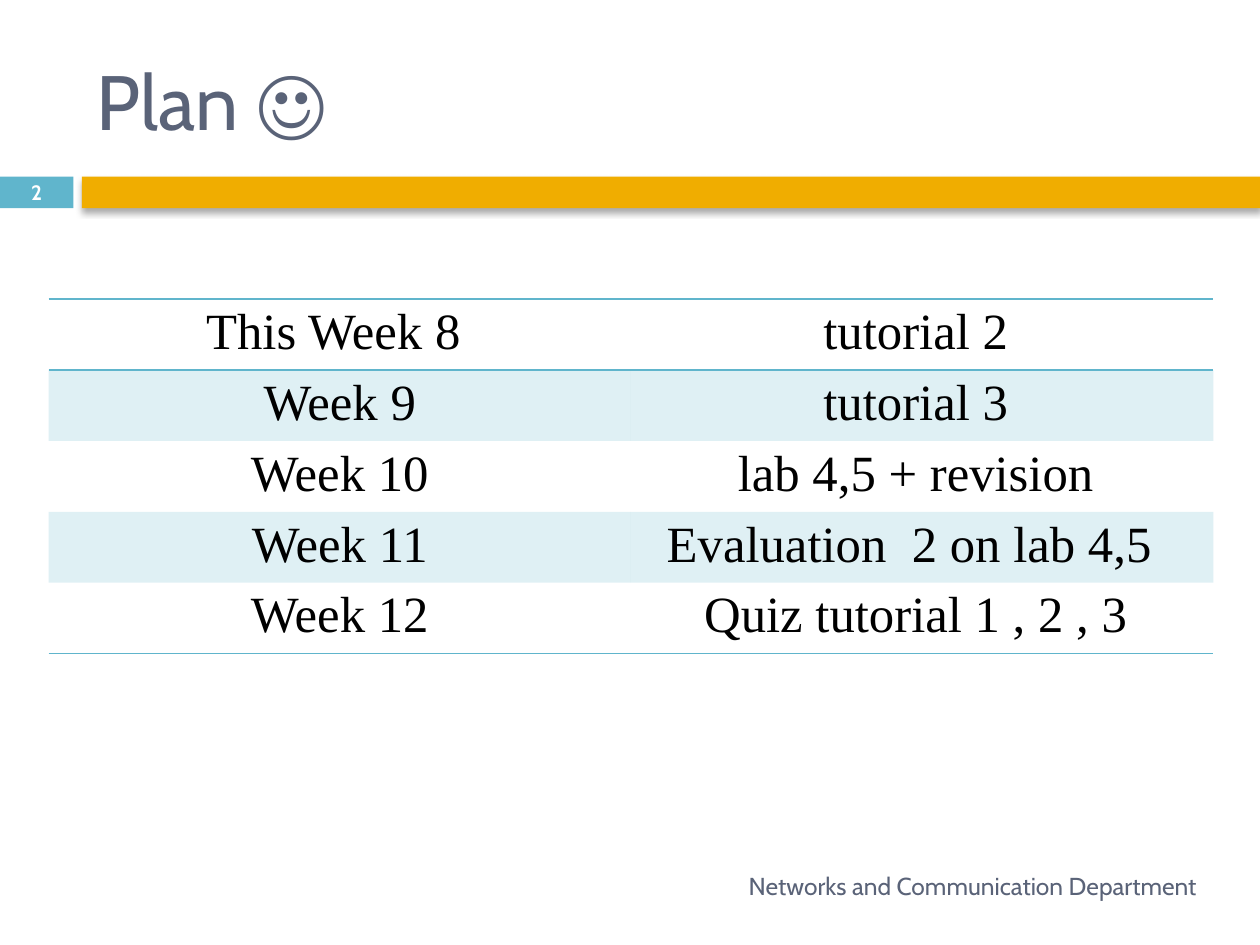
"""Build the weekly plan slide with its schedule table."""
from lxml.etree import SubElement
from pptx import Presentation
from pptx.dml.color import RGBColor
from pptx.enum.shapes import MSO_SHAPE
from pptx.enum.text import MSO_ANCHOR, PP_ALIGN
from pptx.oxml import parse_xml
from pptx.oxml.ns import nsdecls, qn
from pptx.util import Cm, Pt

TITLE = "Plan ☺"
FOOTER = "Networks and Communication Department"
PAGE_NUMBER = "2"
SCHEDULE = [
    ("This Week 8 ", "tutorial 2 "),
    ("Week 9", "tutorial 3 "),
    ("Week 10", "lab 4,5 + revision "),
    ("Week 11", "Evaluation  2 on lab 4,5  "),
    ("Week 12", "Quiz tutorial 1 , 2 , 3 "),
]

TEAL = RGBColor(0x60, 0xB5, 0xCC)
GOLD = RGBColor(0xF0, 0xAD, 0x00)
SLATE = RGBColor(0x5A, 0x63, 0x78)
WHITE = RGBColor(0xFF, 0xFF, 0xFF)
BLACK = RGBColor(0x00, 0x00, 0x00)
HEADING_FONT = "Cabin"
TABLE_FONT = "Times New Roman"
NO_STYLE = "{2D5ABB26-0587-4C30-8999-92F81FD0307C}"

TABLE_LEFT, TABLE_TOP = 0.98, 6.03
COLUMN_WIDTH, ROW_HEIGHT = 11.74, 1.39
BAND_ALPHA = 20000


def write(frame, text, size, color, font=HEADING_FONT, align=PP_ALIGN.LEFT, bold=False):
    frame.word_wrap = True
    frame.vertical_anchor = MSO_ANCHOR.MIDDLE
    para = frame.paragraphs[0]
    para.alignment = align
    span = para.add_run()
    span.text = text
    span.font.size = Pt(size)
    span.font.name = font
    span.font.bold = bold
    span.font.color.rgb = color


def add_bar(page, left, width, color):
    bar = page.shapes.add_shape(MSO_SHAPE.RECTANGLE, Cm(left), Cm(3.56), Cm(width), Cm(0.64))
    bar.shadow.inherit = False
    bar.fill.solid()
    bar.fill.fore_color.rgb = color
    bar.line.fill.background()
    return bar


def add_shadow(bar):
    effects = bar.element.spPr.find(qn("a:effectLst"))
    effects.append(parse_xml(
        f'<a:outerShdw {nsdecls("a")} blurRad="{Pt(3.5)}" dist="{Pt(2.2)}" dir="5400000" '
        'rotWithShape="0"><a:srgbClr val="000000"><a:alpha val="32000"/></a:srgbClr></a:outerShdw>'
    ))


def add_text_box(page, place, text, **style):
    box = page.shapes.add_textbox(*map(Cm, place))
    write(box.text_frame, text, **style)


def format_cell(cell, banded, borders):
    cell.margin_top = cell.margin_bottom = Cm(0.1)
    properties = cell._tc.get_or_add_tcPr()
    if banded:
        cell.fill.solid()
        cell.fill.fore_color.rgb = TEAL
        tint = properties.find(f'{qn("a:solidFill")}/{qn("a:srgbClr")}')
        SubElement(tint, qn("a:alpha"), val=str(BAND_ALPHA))
    else:
        cell.fill.background()
    for position, side in enumerate(borders):
        properties.insert(position, parse_xml(
            f'<a:ln{side} {nsdecls("a")} w="{Pt(1)}"><a:solidFill>'
            f'<a:srgbClr val="{TEAL}"/></a:solidFill></a:ln{side}>'
        ))


def add_schedule(page):
    rows, columns = len(SCHEDULE), len(SCHEDULE[0])
    frame = page.shapes.add_table(
        rows, columns, Cm(TABLE_LEFT), Cm(TABLE_TOP),
        Cm(columns * COLUMN_WIDTH), Cm(rows * ROW_HEIGHT),
    )
    next(frame.element.iter(qn("a:tableStyleId"))).text = NO_STYLE
    borders = {0: "TB", rows - 1: "B"}
    for row, entries in enumerate(SCHEDULE):
        for column, text in enumerate(entries):
            cell = frame.table.cell(row, column)
            format_cell(cell, row % 2 == 1, borders.get(row, ""))
            write(cell.text_frame, text, size=29, color=BLACK,
                  font=TABLE_FONT, align=PP_ALIGN.CENTER)


def main():
    deck = Presentation()
    deck.slide_width, deck.slide_height = Cm(25.4), Cm(19.05)
    page = deck.slides.add_slide(deck.slide_layouts[5])

    add_bar(page, 0, 1.48, TEAL)
    add_shadow(add_bar(page, 1.65, 23.75, GOLD))

    title = page.shapes.title
    title.left, title.top, title.width, title.height = map(Cm, (1.7, 0.64, 23.28, 2.74))
    write(title.text_frame, TITLE, size=44, color=SLATE)

    add_text_box(page, (9.32, 17.35, 15.06, 1.02), FOOTER,
                 size=14, color=SLATE, align=PP_ALIGN.RIGHT)
    add_text_box(page, (0, 3.53, 1.48, 0.69), PAGE_NUMBER,
                 size=11.9, color=WHITE, align=PP_ALIGN.CENTER, bold=True)
    add_schedule(page)
    deck.save("out.pptx")


if __name__ == "__main__":
    main()
